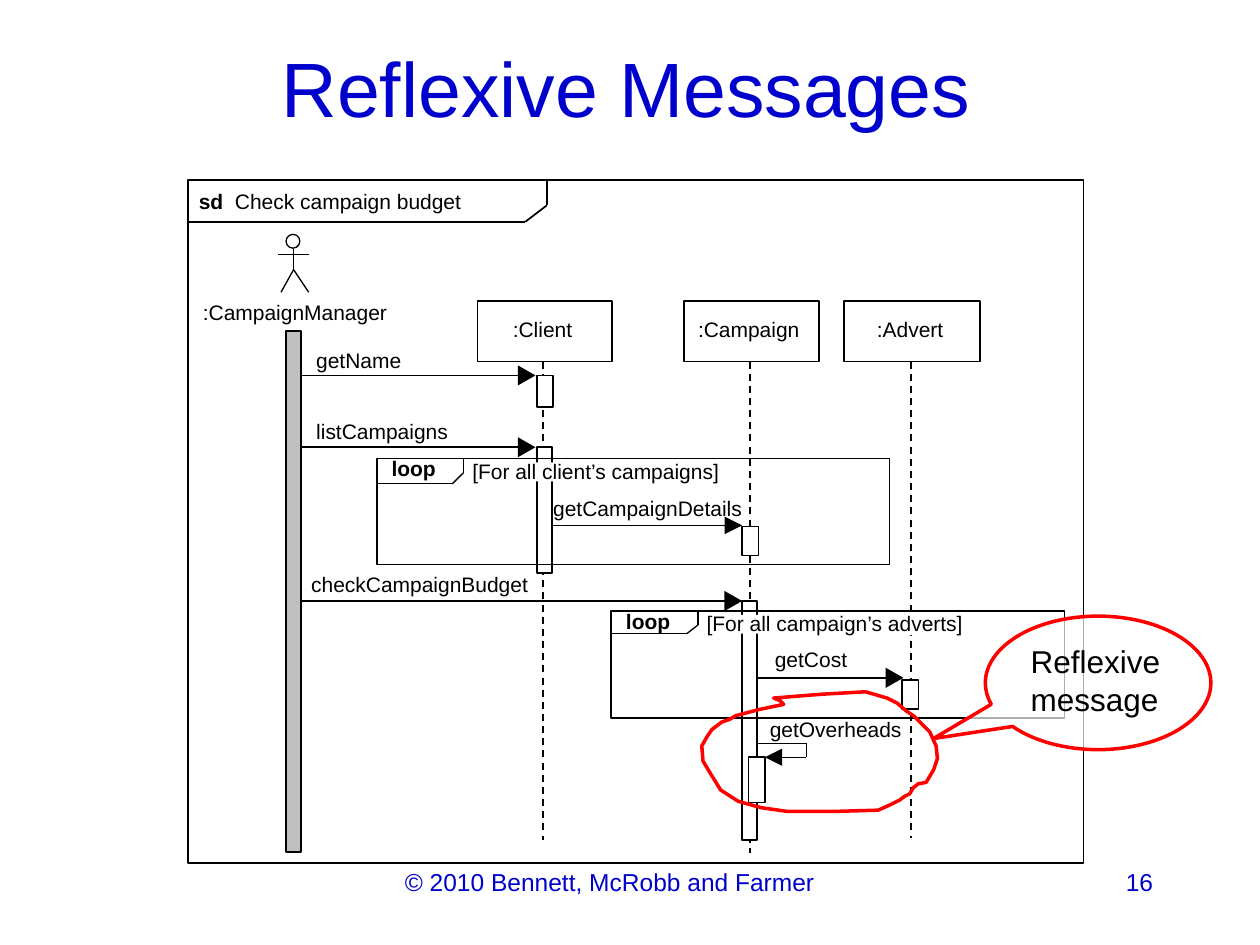
from dataclasses import dataclass
from typing import NamedTuple, Optional

from lxml.etree import SubElement
from pptx import Presentation
from pptx.dml.color import RGBColor
from pptx.enum.dml import MSO_LINE_DASH_STYLE as Dash
from pptx.enum.shapes import MSO_CONNECTOR as Connector, MSO_SHAPE as Preset
from pptx.enum.text import MSO_ANCHOR as Anchor, PP_ALIGN as Align
from pptx.oxml.ns import qn
from pptx.util import Inches, Pt


@dataclass(frozen=True)
class Theme:
    """Colours, type sizes and line widths of the slide."""
    font: str = "Arial"
    ink: str = "000000"
    paper: str = "FFFFFF"
    blue: str = "0000CC"
    red: str = "FF0000"
    grey: str = "C0C0C0"
    title: int = 44
    callout: int = 18
    footer: int = 14
    label: int = 12
    line: float = 1
    thin: float = 0.75
    bold_line: float = 2


class Lifeline(NamedTuple):
    """An object head with its dashed line."""
    name: str
    left: float
    width: float
    text_left: float
    x: float
    end: float


class Message(NamedTuple):
    """A call with a solid arrowhead and its label box."""
    name: str
    start: float
    end: float
    y: float
    text_left: float
    text_top: float
    text_width: float


class Box(NamedTuple):
    """A rectangle with an optional fill and outline."""
    left: float
    top: float
    width: float
    height: float
    fill: Optional[str] = None
    line: Optional[str] = "000000"


class Loop(NamedTuple):
    """A loop fragment, its tab height and its guard."""
    frame: Box
    tab: float
    guard: str
    guard_width: float


THEME = Theme()
HEAD_TOP, HEAD_HEIGHT, BAR = 2.39, 0.48, 0.13
LIFELINES = [
    Lifeline(":Client", 3.79, 1.07, 4.07, 4.31, 6.67),
    Lifeline(":Advert", 6.7, 1.08, 6.96, 7.23, 6.65),
    Lifeline(":Campaign", 5.43, 1.07, 5.54, 5.95, 6.77),
]
MESSAGES = [
    Message("getName", 2.38, 4.25, 2.98, 2.51, 2.76, 0.8),
    Message("listCampaigns", 2.38, 4.25, 3.55, 2.51, 3.32, 1.2),
    Message("checkCampaignBudget", 2.38, 5.89, 4.77, 2.47, 4.54, 1.9),
    Message("getCost", 6.01, 7.17, 5.38, 6.15, 5.13, 0.7),
]
ACTIVATIONS = [
    Box(4.26, 2.98, BAR, 0.25, THEME.paper),
    Box(4.26, 3.55, 0.12, 1, THEME.paper),
    Box(2.27, 2.63, 0.12, 4.13, THEME.grey),
    Box(5.89, 4.77, 0.12, 1.9, THEME.paper),
    Box(5.89, 4.18, BAR, 0.23, THEME.paper),
    Box(7.16, 5.4, BAR, 0.23, THEME.paper),
    Box(5.94, 6.01, BAR, 0.36, THEME.paper),
]
LOOPS = [
    Loop(Box(2.99, 3.64, 4.07, 0.84), 0.2, "[For all client’s campaigns]", 2.44),
    Loop(Box(4.85, 4.85, 3.6, 0.85), 0.18, "[For all campaign’s adverts]", 2.53),
]
GUARD_MASKS = [Box(x, y, 0.27, 0.15, THEME.paper, None)
               for x, y in ((4.15, 3.67), (5.85, 4.88), (7.1, 4.89))]
ACTOR_LIMBS = [(2.33, 1.98, 2.33, 2.14), (2.33, 2.14, 2.23, 2.32),
               (2.33, 2.14, 2.45, 2.32), (2.21, 2.02, 2.45, 2.02)]
HIGHLIGHT = [
    (6.22, 5.59), (6.03, 5.63), (5.84, 5.68), (5.79, 5.71), (5.73, 5.73), (5.65, 5.79),
    (5.61, 5.85), (5.57, 5.92), (5.58, 6.04), (5.64, 6.14), (5.72, 6.27), (5.86, 6.36),
    (6.04, 6.41), (6.25, 6.44), (6.61, 6.44), (6.97, 6.43), (7.06, 6.39), (7.14, 6.35),
    (7.18, 6.32), (7.22, 6.3), (7.25, 6.25), (7.29, 6.22), (7.35, 6.21), (7.41, 6.11),
    (7.44, 6.02), (7.43, 5.92), (7.38, 5.81), (7.3, 5.73), (7.25, 5.68), (7.19, 5.64),
    (7.12, 5.58), (7.04, 5.54), (6.87, 5.49), (6.52, 5.51), (6.14, 5.54), (6.19, 5.56),
]

deck = Presentation()
deck.slide_width, deck.slide_height = Inches(10), Inches(7.5)
slide = deck.slides.add_slide(deck.slide_layouts[5])
shapes = slide.shapes


def write(frame, text: str, *, lead: str = "", size: int = THEME.label,
          color: str = THEME.ink, align=Align.LEFT, anchor=Anchor.TOP,
          wrap: bool = False, inset: bool = False) -> None:
    """Fill a text frame, with an optional bold lead."""
    frame.word_wrap, frame.vertical_anchor = wrap, anchor
    frame.margin_left = frame.margin_right = Inches(0.1 if inset else 0)
    frame.margin_top = frame.margin_bottom = Inches(0.05 if inset else 0)
    paragraph = frame.paragraphs[0]
    paragraph.alignment = align
    for words, bold in ((lead, True), (text, False)):
        if words:
            run = paragraph.add_run()
            run.text = words
            run.font.name, run.font.size, run.font.bold = THEME.font, Pt(size), bold
            run.font.color.rgb = RGBColor.from_string(color)


def label(text: str, left: float, top: float, width: float = 1, height: float = 0.2,
          **style) -> None:
    """Place text on the slide."""
    write(shapes.add_textbox(*map(Inches, (left, top, width, height))).text_frame, text, **style)


def paint(shape, fill: Optional[str], line: Optional[str], width: float = THEME.line) -> None:
    """Set the fill and outline of a shape."""
    shape.shadow.inherit = False
    if fill:
        shape.fill.solid()
        shape.fill.fore_color.rgb = RGBColor.from_string(fill)
    else:
        shape.fill.background()
    if line:
        shape.line.color.rgb = RGBColor.from_string(line)
        shape.line.width = Pt(width)
    else:
        shape.line.fill.background()


def draw_box(box: Box, preset=Preset.RECTANGLE, width: float = THEME.line):
    """Draw a preset shape."""
    shape = shapes.add_shape(preset, *map(Inches, box[:4]))
    paint(shape, box.fill, box.line, width)
    return shape


def draw_line(x1: float, y1: float, x2: float, y2: float, width: float = THEME.line,
              dashed: bool = False, arrow: bool = False) -> None:
    """Draw a straight line, dashed or with an arrowhead on request."""
    line = shapes.add_connector(Connector.STRAIGHT, *map(Inches, (x1, y1, x2, y2)))
    line.line.color.rgb = RGBColor.from_string(THEME.ink)
    line.line.width = Pt(width)
    if dashed:
        line.line.dash_style = Dash.DASH
    if arrow:
        SubElement(line.line._get_or_add_ln(), qn("a:tailEnd"), type="triangle", w="lg", len="lg")
    SubElement(line._element.spPr, qn("a:effectLst"))


def draw_outline(points, fill: Optional[str], line: Optional[str], width: float = THEME.line) -> None:
    """Draw a closed outline."""
    corners = [(Inches(x), Inches(y)) for x, y in points]
    builder = shapes.build_freeform(*corners[0])
    builder.add_line_segments(corners[1:], close=True)
    paint(builder.convert_to_shape(), fill, line, width)


def draw_tab(left: float, top: float, bottom: float, notch: float, right: float,
             shoulder: float, width: float) -> None:
    """Draw the cut-corner name tab of a frame."""
    draw_line(left, bottom, notch, bottom, width)
    draw_line(right, top, right, shoulder, width)
    draw_line(right, shoulder, notch, bottom, width)


def draw_message(message: Message) -> None:
    """Draw a message with its solid arrowhead."""
    name, start, end, y, text_left, text_top, text_width = message
    draw_line(start, y, end - 0.11, y)
    draw_outline([(end - 0.14, y + 0.08), (end, y), (end - 0.14, y - 0.08)], THEME.ink, None)
    label(name, text_left, text_top, text_width)


def draw_loop(loop: Loop) -> None:
    """Draw a loop fragment with its tab and guard."""
    left, top = loop.frame[:2]
    draw_box(loop.frame)
    draw_tab(left, top, top + loop.tab, left + 0.6, left + 0.69, top + 0.11, THEME.thin)
    label("", left + 0.02, top - 0.07, 0.6, 0.3, lead="loop", inset=True)
    label(loop.guard, left + 0.66, top - 0.05, loop.guard_width, 0.3, inset=True, wrap=True)


title = shapes.title
title.left, title.top, title.width, title.height = map(Inches, (0.47, 0.23, 9, 0.92))
write(title.text_frame, "Reflexive Messages", size=THEME.title, color=THEME.blue,
      align=Align.CENTER, anchor=Anchor.MIDDLE, wrap=True, inset=True)
footer = dict(size=THEME.footer, color=THEME.blue, wrap=True, inset=True)
label("© 2010 Bennett, McRobb and Farmer", 2.55, 6.83, 4.58, 0.52, align=Align.CENTER, **footer)
label("16", 7.17, 6.83, 2.08, 0.5, align=Align.RIGHT, **footer)

draw_box(Box(1.49, 1.43, 7.11, 5.42))
draw_tab(1.49, 1.43, 1.76, 4.17, 4.34, 1.63, THEME.line)
label("  Check campaign budget", 1.48, 1.45, 2.6, 0.3, lead="sd", inset=True)
for name, left, width, text_left, x, end in LIFELINES:
    draw_line(x, HEAD_TOP + HEAD_HEIGHT, x, end, dashed=True)
    draw_box(Box(left, HEAD_TOP, width, HEAD_HEIGHT, THEME.paper))
    label(name, text_left, 2.51)
draw_box(Box(2.27, 1.86, 0.11, 0.11, THEME.paper), Preset.OVAL, THEME.thin)
for limb in ACTOR_LIMBS:
    draw_line(*limb, THEME.thin)
label(":CampaignManager", 1.61, 2.38, 1.65)
for activation in ACTIVATIONS:
    draw_box(activation)
for call in MESSAGES:
    draw_message(call)
draw_line(4.38, 4.17, 5.89, 4.17, THEME.thin, arrow=True)
label("getCampaignDetails", 4.39, 3.93, 1.65)
draw_line(6.01, 5.9, 6.4, 5.9, THEME.thin)
draw_line(6.4, 5.9, 6.4, 6.01, THEME.thin)
draw_line(6.4, 6.01, 6.07, 6.01, THEME.thin, arrow=True)
label("getOverheads", 6.11, 5.69, 1.2)
for mask in GUARD_MASKS:
    draw_box(mask)
for fragment in LOOPS:
    draw_loop(fragment)

draw_outline(HIGHLIGHT, None, THEME.red, THEME.bold_line)
callout = draw_box(Box(7.82, 4.89, 1.79, 1.06, THEME.paper, THEME.red),
                   Preset.OVAL_CALLOUT, THEME.bold_line)
callout.adjustments[0], callout.adjustments[1] = -0.73, 0.417
SubElement(callout._element.spPr.find(".//" + qn("a:srgbClr")), qn("a:alpha"), val="68000")
write(callout.text_frame, "Reflexive message", size=THEME.callout, wrap=True, inset=True)
deck.save("out.pptx")
